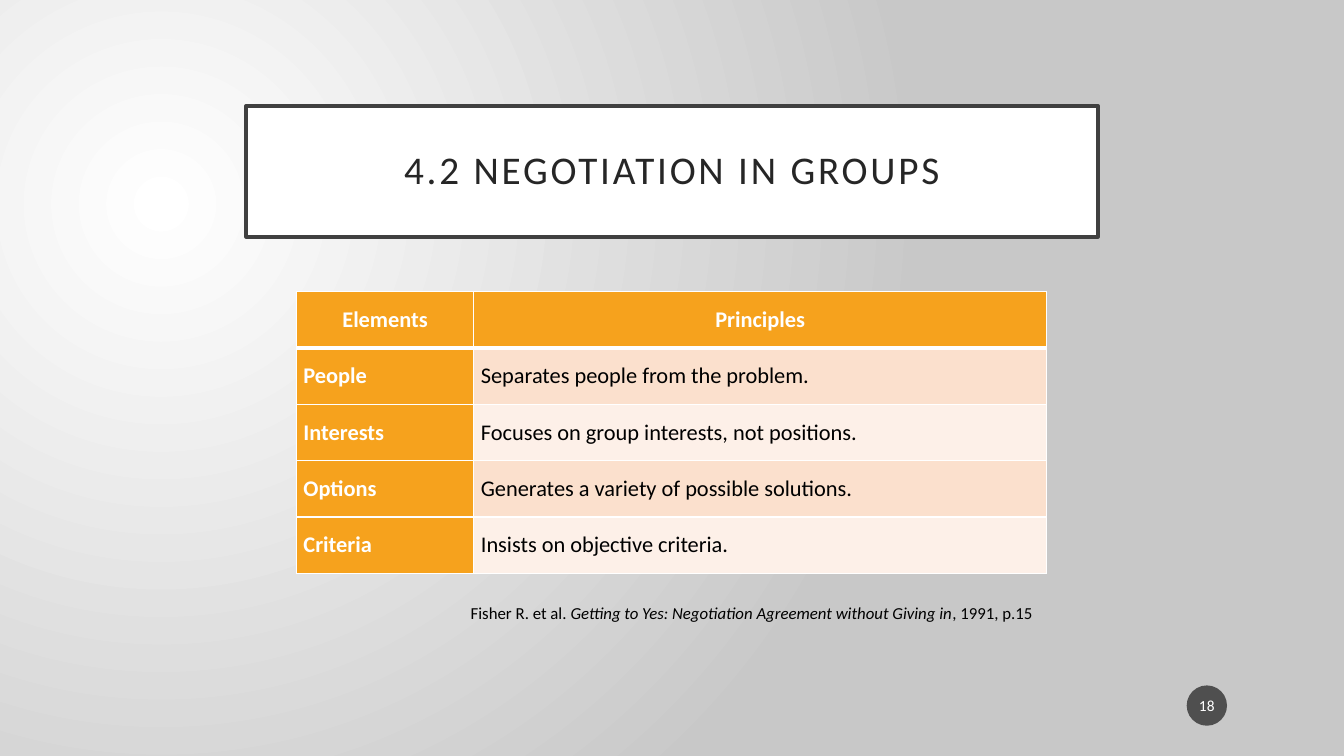
from lxml import etree
from pptx import Presentation
from pptx.dml.color import RGBColor
from pptx.enum.shapes import MSO_SHAPE as Shape
from pptx.enum.text import MSO_ANCHOR as Anchor, MSO_AUTO_SIZE as AutoSize, PP_ALIGN as Align
from pptx.oxml import parse_xml
from pptx.oxml.ns import nsdecls, qn
from pptx.util import Inches, Pt

COLORS = {
    "white": "FFFFFF", "backdrop": "C8C8C8", "frame": "404040", "title": "262626",
    "orange": "F6A21D", "peach": "FBE0CD", "cream": "FDF0E8", "black": "000000",
    "badge": "1D1D1D",
}
ROWS = [
    ("Elements", "Principles"),
    ("People", "Separates people from the problem."),
    ("Interests", "Focuses on group interests, not positions."),
    ("Options", "Generates a variety of possible solutions."),
    ("Criteria", "Insists on objective criteria."),
]
CITATION = [
    ("Fisher R. et al. ", False),
    ("Getting to Yes: Negotiation Agreement without Giving in", True),
    (", 1991, p.15", False),
]


def rgb(name):
    return RGBColor.from_string(COLORS[name])


def apply(target, values):
    for name, value in values.items():
        setattr(target, name, value)


def margins(left, top):
    return {"margin_left": Inches(left), "margin_right": Inches(left),
            "margin_top": Inches(top), "margin_bottom": Inches(top)}


def add_span(para, text, size, color, bold=False, italic=False):
    span = para.add_run()
    span.text = text
    apply(span.font, {"name": "Calibri", "size": Pt(size), "bold": bold, "italic": italic})
    span.font.color.rgb = rgb(color)
    return span


def paint_background(page):
    fill = page.background.fill
    fill.gradient()
    for stop, color in zip(fill.gradient_stops, ("white", "backdrop")):
        stop.color.rgb = rgb(color)
    # Circular gradient centred in the upper left
    gradient = page.background._cSld.find(".//" + qn("a:gradFill"))
    gradient.replace(gradient.find(qn("a:lin")), parse_xml(
        f'<a:path {nsdecls("a")} path="circle">'
        '<a:fillToRect l="50000" t="55000" r="125000" b="100000"/></a:path>'))


def add_title(page, text):
    title = page.shapes.title
    apply(title, {"left": Inches(2.44), "top": Inches(1.05),
                  "width": Inches(8.45), "height": Inches(1.3)})
    title.fill.solid()
    title.fill.fore_color.rgb = rgb("white")
    title.line.color.rgb = rgb("frame")
    title.line.width = Pt(2.5)
    frame = title.text_frame
    apply(frame, {"word_wrap": True, "auto_size": AutoSize.NONE,
                  "vertical_anchor": Anchor.MIDDLE, **margins(0.2, 0.2)})
    para = frame.paragraphs[0]
    apply(para, {"alignment": Align.CENTER, "line_spacing": 0.9, "space_before": Pt(0)})
    span = add_span(para, text, 28, "title")
    span.font._element.set("spc", "200")


def add_borders(cell, widths):
    properties = cell._tc.get_or_add_tcPr()
    for place, (side, width) in enumerate(widths.items()):
        properties.insert(place, parse_xml(
            f'<a:ln{side} {nsdecls("a")} w="{Pt(width)}"><a:solidFill>'
            f'<a:srgbClr val="{COLORS["white"]}"/></a:solidFill></a:ln{side}>'))


def add_principles_table(page):
    table = page.shapes.add_table(len(ROWS), 2, Inches(2.94), Inches(2.89),
                                  Inches(7.44), Inches(2.8)).table
    for column, width in zip(table.columns, (1.76, 5.68)):
        column.width = Inches(width)
    for r, texts in enumerate(ROWS):
        table.rows[r].height = Inches(0.56)
        for c, text in enumerate(texts):
            cell = table.cell(r, c)
            heading = r == 0 or c == 0
            band = "peach" if r % 2 else "cream"
            cell.fill.solid()
            cell.fill.fore_color.rgb = rgb("orange" if heading else band)
            apply(cell, {"vertical_anchor": Anchor.MIDDLE, **margins(0.07, 0)})
            para = cell.text_frame.paragraphs[0]
            para.alignment = Align.CENTER if r == 0 else Align.LEFT
            add_span(para, text, 16, "white" if heading else "black", bold=heading)
            add_borders(cell, {"L": 1, "R": 1, "T": 3 if r == 1 else 1,
                               "B": 3 if r == 0 else 1})


def add_citation(page):
    box = page.shapes.add_textbox(Inches(4.57), Inches(5.93), Inches(5.82), Inches(0.3))
    apply(box.text_frame, {"word_wrap": True, "auto_size": AutoSize.SHAPE_TO_FIT_TEXT})
    for text, italic in CITATION:
        add_span(box.text_frame.paragraphs[0], text, 12, "black", italic=italic)


def add_page_badge(page, number):
    badge = page.shapes.add_shape(Shape.OVAL, Inches(11.77), Inches(6.8),
                                  Inches(0.4), Inches(0.4))
    badge.shadow.inherit = False
    badge.fill.solid()
    badge.fill.fore_color.rgb = rgb("badge")
    badge.line.fill.background()
    color = badge._element.spPr.find(".//" + qn("a:srgbClr"))
    etree.SubElement(color, qn("a:alpha")).set("val", "70000")
    frame = badge.text_frame
    apply(frame, {"word_wrap": True, "vertical_anchor": Anchor.MIDDLE,
                  **margins(0.02, 0.05)})
    frame.paragraphs[0].alignment = Align.CENTER
    add_span(frame.paragraphs[0], number, 11, "white")


def main():
    deck = Presentation()
    apply(deck, {"slide_width": Inches(13.33), "slide_height": Inches(7.5)})
    page = deck.slides.add_slide(deck.slide_layouts.get_by_name("Title Only"))
    paint_background(page)
    add_title(page, "4.2 NEGOTIATION IN GROUPS")
    add_principles_table(page)
    add_citation(page)
    add_page_badge(page, "18")
    deck.save("out.pptx")


if __name__ == "__main__":
    main()
